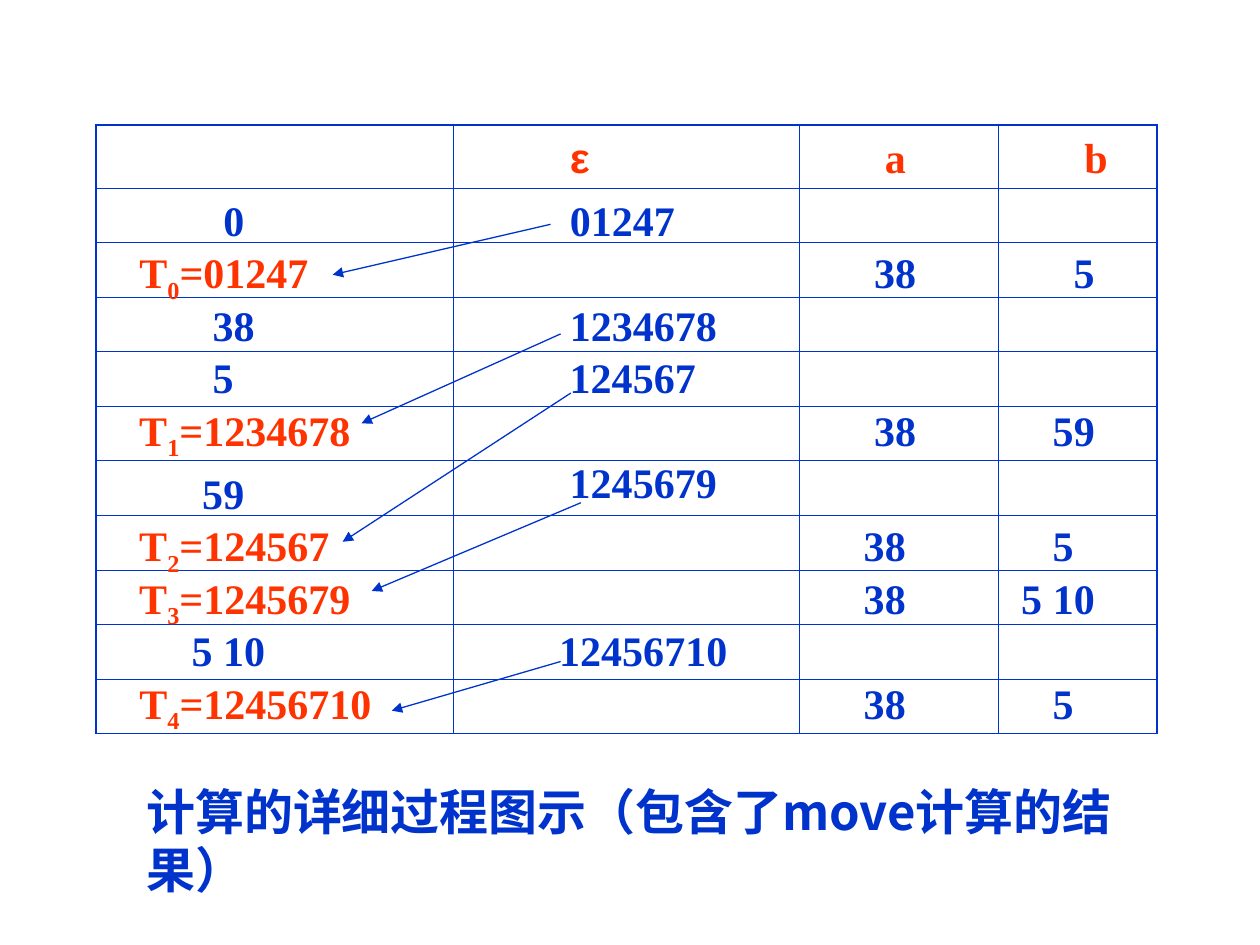
from dataclasses import dataclass

from pptx import Presentation
from pptx.dml.color import RGBColor
from pptx.enum import shapes, text
from pptx.oxml.ns import qn
from pptx.util import Pt
from lxml import etree


@dataclass(frozen=True)
class Theme:
    blue: RGBColor = RGBColor(0x00, 0x33, 0xCC)
    red: RGBColor = RGBColor(0xFF, 0x33, 0x00)
    serif: str = "Times New Roman"
    sans: str = "Arial"
    chinese: str = "Noto Sans CJK SC"
    body: int = 24
    caption: int = 28
    grid: float = 0.45
    frame: float = 1.08
    arrow: float = 0.75


T = Theme()

# Table geometry
LEFT, TOP = 54.7, 71.4
COLS = (204.5, 197.3, 113.8, 90.7)
HEADER, ROW, ROWS = 36, 31.2, 11

# Text rows: a header, six rows 30 pt apart, then four more after a wider step
ROW_Y = [71.5] + [107.5 + 30 * i for i in range(6)] + [293.5 + 30 * i for i in range(4)]

# Table entries: row, left, width, text
ENTRIES = [
    (1, 120.5, 24, "0"), (1, 318.5, 96, "01247"),
    (2, 492.5, 66, "38"), (2, 606.5, 36, "5"),
    (3, 114.5, 66, "38"), (3, 318.5, 120, "1234678"),
    (4, 114.5, 36, "5"), (4, 318.5, 114, "124567"),
    (5, 492.5, 66, "38"), (5, 594.5, 66, "59"),
    (6, 318.5, 114, "1245679"),
    (7, 486.5, 66, "38"), (7, 594.5, 66, "5"),
    (8, 486.5, 66, "38"), (8, 576.5, 66, "5 10"),
    (9, 102.5, 66, "5 10"), (9, 312.5, 114, "12456710"),
    (10, 486.5, 66, "38"), (10, 594.5, 66, "5"),
]

# State sets T0 to T4: row, width, members
STATES = [(2, 126, "01247"), (5, 144, "1234678"), (7, 144, "124567"),
          (8, 144, "1245679"), (10, 162, "12456710")]

# Arrows from a closure to the state set it defines: x1, y1, x2, y2
ARROWS = [(314.6, 128.2, 190.1, 157), (320.4, 190.8, 206.6, 241.9),
          (326.2, 224.6, 195.8, 309.6), (331.9, 287.3, 212.4, 337.7),
          (320.4, 378, 223.9, 406.1)]


def add_border(cell, side, width):
    ln = etree.SubElement(cell._tc.get_or_add_tcPr(), qn(f"a:ln{side}"), w=str(Pt(width)))
    fill = etree.SubElement(ln, qn("a:solidFill"))
    etree.SubElement(fill, qn("a:srgbClr"), val=str(T.blue))


def add_grid(s):
    height = HEADER + ROW * (ROWS - 1)
    frame = s.shapes.add_table(ROWS, len(COLS), Pt(LEFT), Pt(TOP), Pt(sum(COLS)), Pt(height))
    table = frame.table
    table.first_row = table.horz_banding = False
    for col, width in zip(table.columns, COLS):
        col.width = Pt(width)
    for i, row in enumerate(table.rows):
        row.height = Pt(ROW if i else HEADER)
        for j, cell in enumerate(row.cells):
            outer = {"L": j == 0, "R": j == len(COLS) - 1, "T": i == 0, "B": i == ROWS - 1}
            for side, is_outer in outer.items():
                add_border(cell, side, T.frame if is_outer else T.grid)
            cell.fill.background()


def add_text(s, x, y, w, h, content, color=T.blue, font=T.serif, size=T.body):
    """Add a text box; a list as content gives one run per item."""
    box = s.shapes.add_textbox(Pt(x), Pt(y), Pt(w), Pt(h))
    tf = box.text_frame
    tf.word_wrap = True
    tf.auto_size = text.MSO_AUTO_SIZE.SHAPE_TO_FIT_TEXT
    p = tf.paragraphs[0]
    for part in [content] if isinstance(content, str) else content:
        r = p.add_run()
        r.text = part
        r.font.name, r.font.size, r.font.bold = font, Pt(size), True
        r.font.color.rgb = color
    return tf


def add_state(s, index, row, width, members):
    tf = add_text(s, 72.5, ROW_Y[row], width, 40, ["T", str(index), f"={members}"], T.red)
    tf.paragraphs[0].runs[1].font._element.set("baseline", "-25000")


def add_caption(s, content):
    tf = add_text(s, 76.5, 440, 584, 75, content, font=T.chinese, size=T.caption)
    tf.margin_top = Pt(6.5)
    p = tf.paragraphs[0]
    p.space_before, p.line_spacing = Pt(17.5), Pt(33.5)
    for r in p.runs:
        etree.SubElement(r.font._element, qn("a:ea"), typeface=T.chinese)


def add_arrow(s, x1, y1, x2, y2):
    line = s.shapes.add_connector(shapes.MSO_CONNECTOR.STRAIGHT, Pt(x1), Pt(y1), Pt(x2), Pt(y2))
    line.line.color.rgb = T.blue
    line.line.width = Pt(T.arrow)
    etree.SubElement(line.line._get_or_add_ln(), qn("a:tailEnd"), type="triangle")
    etree.SubElement(line._element.spPr, qn("a:effectLst"))


def main():
    prs = Presentation()
    prs.slide_width, prs.slide_height = Pt(720), Pt(540)
    s = prs.slides.add_slide(prs.slide_layouts[6])

    # Empty grid
    add_grid(s)

    # Column headings
    for x, label, font in ((318.5, "ε", T.sans), (498.5, "a", T.serif), (612.5, "b", T.serif)):
        add_text(s, x, ROW_Y[0], 24, 36, label, T.red, font)

    # Entries and state sets
    for row, x, width, label in ENTRIES:
        add_text(s, x, ROW_Y[row], width, 36, label)
    add_text(s, 108.5, ROW_Y[6] + 6, 66, 36, "59")
    for index, state in enumerate(STATES):
        add_state(s, index, *state)

    # Caption
    add_caption(s, "计算的详细过程图示（包含了move计算的结果）")

    # Arrows
    for ends in ARROWS:
        add_arrow(s, *ends)

    prs.save("out.pptx")


if __name__ == "__main__":
    main()
